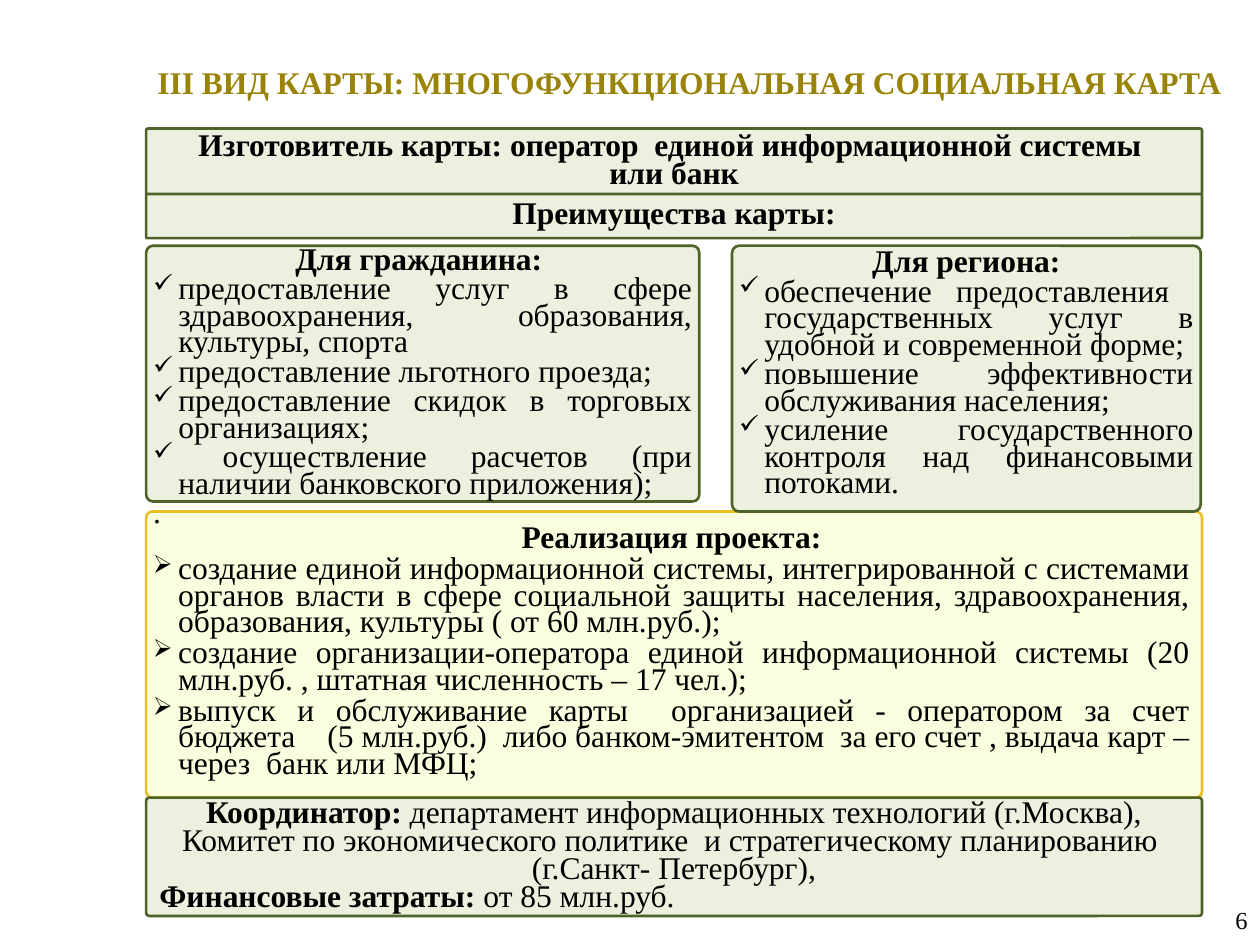
"""Build the slide on the multifunctional social card."""
from dataclasses import dataclass

import lxml.etree
import pptx
import pptx.dml.color
import pptx.enum.shapes
import pptx.enum.text
import pptx.oxml.ns
import pptx.util

ALIGN = pptx.enum.text.PP_ALIGN
ANCHOR = pptx.enum.text.MSO_ANCHOR
WIDTH, HEIGHT = pptx.util.Inches(10), pptx.util.Inches(7.5)
LEFT, FULL = 11.6, 83.8
GREEN, GREEN_LINE = "EBF1DE", "4F6228"
YELLOW, YELLOW_LINE = "FBFDDF", "EAC026"


@dataclass
class Span:
    """A piece of text in one style."""
    text: str
    bold: bool = False
    color: str = "000000"
    size: float = 18


@dataclass
class Line:
    """A paragraph with its alignment, bullet and hanging indent."""
    spans: list[Span]
    align: ALIGN = ALIGN.CENTER
    bullet: str = ""
    hanging: bool = False


@dataclass
class Panel:
    """A rounded panel placed in percent of the slide's size."""
    place: tuple[float, float, float, float]
    lines: list[Line]
    insets: tuple[float, float, float, float] = (0.1, 0.04, 0.1, 0.02)
    leading: float = 16
    after: float = 0
    anchor: ANCHOR = ANCHOR.MIDDLE
    fill: str = GREEN
    outline: str = GREEN_LINE
    corner: float = 0.027


def rgb(value: str) -> pptx.dml.color.RGBColor:
    """Turn a hex string into a colour."""
    return pptx.dml.color.RGBColor.from_string(value)


def area(place: tuple[float, float, float, float]) -> list[int]:
    """Turn percentages of the slide into lengths."""
    return [round(share / 100 * side) for share, side in zip(place, (WIDTH, HEIGHT) * 2)]


def heading(text: str) -> Line:
    """Give a bold centred line."""
    return Line([Span(text, True)])


def bullets(mark: str, texts: list[str]) -> list[Line]:
    """Give a justified list with one mark."""
    return [Line([Span(text)], ALIGN.JUSTIFY, mark, True) for text in texts]


def add_span(para, span: Span) -> None:
    """Add the span's runs, with line breaks between them."""
    for index, text in enumerate(span.text.split("\n")):
        if index:
            para.add_line_break()
        run = para.add_run()
        run.text = text
        run.font.name = "Times New Roman"
        run.font.size = pptx.util.Pt(span.size)
        run.font.bold = span.bold
        run.font.color.rgb = rgb(span.color)


def write(frame, lines: list[Line], leading: float = 0, after: float = 0) -> None:
    """Fill a text frame with lines."""
    frame.word_wrap = True
    for index, line in enumerate(lines):
        para = frame.add_paragraph() if index else frame.paragraphs[0]
        para.alignment = line.align
        if leading:
            para.line_spacing = pptx.util.Pt(leading)
            para.space_after = pptx.util.Pt(after)
        properties = para._p.get_or_add_pPr()
        if line.hanging:
            indent = pptx.util.Inches(0.2)
            properties.set("marL", str(indent))
            properties.set("indent", str(-indent))
        if line.bullet:
            for tag, name, value in (("a:buSzPct", "val", "80000"), ("a:buChar", "char", line.bullet)):
                lxml.etree.SubElement(properties, pptx.oxml.ns.qn(tag)).set(name, value)
        for span in line.spans:
            add_span(para, span)


def draw_text(page, place: tuple[float, float, float, float], line: Line, anchor: ANCHOR) -> None:
    """Draw a one-line text box."""
    frame = page.shapes.add_textbox(*area(place)).text_frame
    frame.vertical_anchor = anchor
    write(frame, [line])


def draw_panel(page, panel: Panel) -> None:
    """Draw a rounded panel with its text."""
    box = page.shapes.add_shape(pptx.enum.shapes.MSO_SHAPE.ROUNDED_RECTANGLE, *area(panel.place))
    box.shadow.inherit = False
    box.adjustments[0] = panel.corner
    box.fill.solid()
    box.fill.fore_color.rgb = rgb(panel.fill)
    box.line.color.rgb = rgb(panel.outline)
    box.line.width = pptx.util.Pt(1.5)
    frame = box.text_frame
    frame.vertical_anchor = panel.anchor
    frame.margin_left, frame.margin_top, frame.margin_right, frame.margin_bottom = map(
        pptx.util.Inches, panel.insets)
    write(frame, panel.lines, panel.leading, panel.after)


PANELS = [
    Panel((LEFT, 13.6, FULL, 7.07), [
        heading("Изготовитель карты: оператор  единой информационной системы \nили банк")]),
    Panel((LEFT, 54.13, FULL, 30.27), [heading("Реализация проекта:")] + bullets("➢", [
        "создание единой информационной системы, интегрированной с системами органов власти "
        "в сфере социальной защиты населения, здравоохранения, образования, культуры "
        "( от 60 млн.руб.);",
        "создание организации-оператора единой информационной системы "
        "(20 млн.руб. , штатная численность – 17 чел.);",
        "выпуск и обслуживание карты  организацией - оператором за счет бюджета    "
        "(5 млн.руб.)  либо банком-эмитентом  за его счет , выдача карт – через  банк или МФЦ; ",
    ]), (0.04, 0.05, 0.08, 0.05), 15, 3, fill=YELLOW, outline=YELLOW_LINE, corner=0.021),
    Panel((LEFT, 26, 43.9, 27.07), [heading("Для гражданина: ")] + bullets("✓", [
        "предоставление услуг в сфере здравоохранения, образования, культуры, спорта",
        "предоставление льготного проезда;",
        "предоставление скидок в торговых организациях; ",
        " осуществление расчетов (при наличии банковского приложения);",
    ]) + bullets("", ["."]), (0.04, 0.02, 0.04, 0), 15, 2, ANCHOR.TOP),
    Panel((58.1, 26, 37.2, 28.13), [heading("Для региона:")] + bullets("✓", [
        "обеспечение предоставления  государственных услуг в удобной и современной форме;",
        "повышение эффективности обслуживания населения;",
        "усиление государственного контроля над финансовыми потоками.",
    ]), (0.04, 0.04, 0.04, 0), 15, 2, ANCHOR.TOP),
    Panel((LEFT, 84.4, FULL, 12.53), [
        Line([Span("Координатор: ", True),
              Span("департамент информационных технологий (г.Москва),")]),
        Line([Span("Комитет по экономического политике  и стратегическому планированию  "
                   "(г.Санкт- Петербург),")]),
        Line([Span("Финансовые затраты: ", True), Span("от 85 млн.руб. ")], ALIGN.JUSTIFY)]),
    Panel((LEFT, 20.53, FULL, 4.67), [heading("Преимущества карты:")]),
]


def main() -> None:
    """Build and save the deck."""
    deck = pptx.Presentation()
    deck.slide_width, deck.slide_height = WIDTH, HEIGHT
    page = deck.slides.add_slide(deck.slide_layouts[6])
    title = Span("III ВИД КАРТЫ: МНОГОФУНКЦИОНАЛЬНАЯ СОЦИАЛЬНАЯ КАРТА ", True, "998307")
    draw_text(page, (10.1, 6, 89.9, 5.33), Line([title]), ANCHOR.TOP)
    draw_text(page, (76.7, 94.67, 23.3, 5.33), Line([Span("6", size=14)], ALIGN.RIGHT), ANCHOR.MIDDLE)
    for panel in PANELS:
        draw_panel(page, panel)
    deck.save("out.pptx")


if __name__ == "__main__":
    main()
